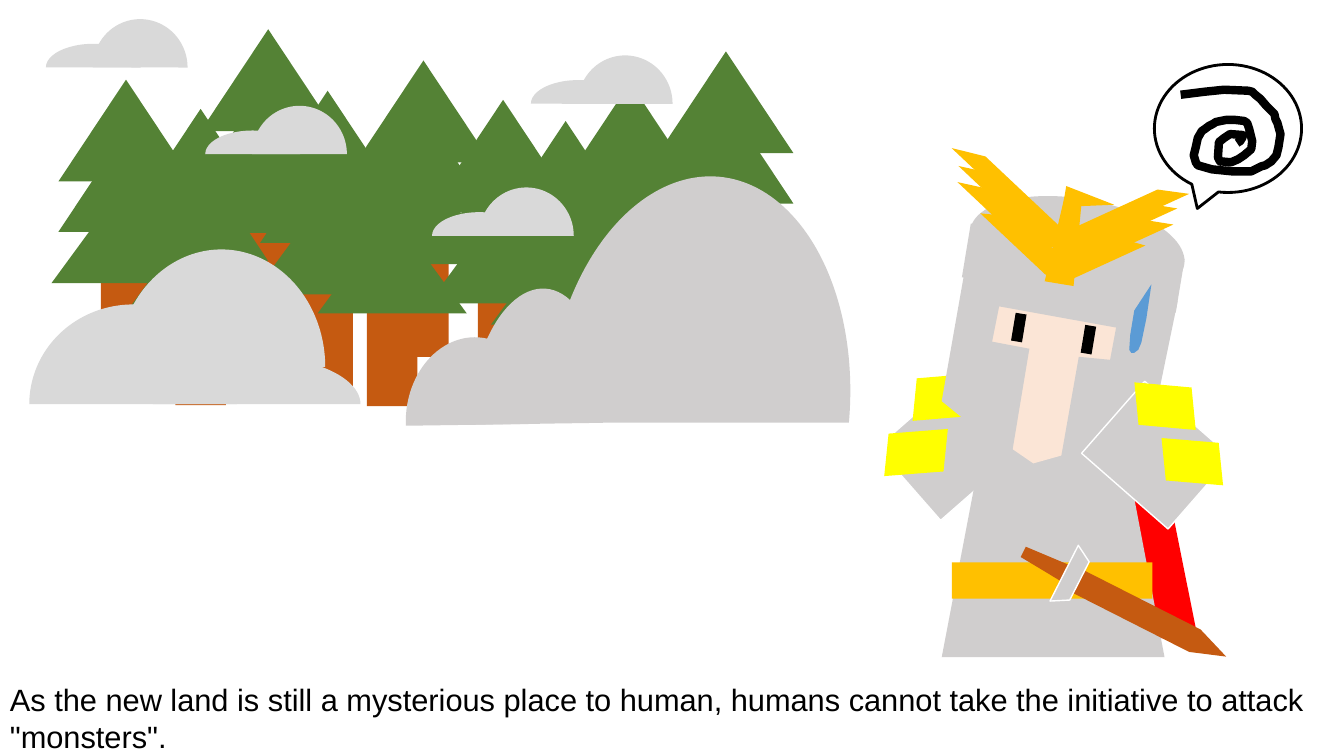
"""Build a slide of a knight watching a misty forest, with a caption."""
from pptx import Presentation
from pptx.dml.color import RGBColor
from pptx.enum.shapes import MSO_SHAPE as S
from pptx.enum.text import MSO_AUTO_SIZE
from pptx.util import Inches, Pt

CAPTION = ('As the new land is still a mysterious place to human, humans cannot '
           'take the initiative to attack "monsters".')
GREEN, BROWN, STONE, CLOUD = "548235", "C55A11", "D0CECE", "D9D9D9"
GOLD, YELLOW, RED, SKIN = "FFC000", "FFFF00", "FF0000", "FBE5D6"
BLUE, BLACK, WHITE = "5B9BD5", "000000", "FFFFFF"

TREES = [(0.51, 0.79), (1.92, 0.29), (1.25, 1.08), (2.51, 0.9), (3.46, 0.6), (3.15, 1.09),
         (4.25, 0.99), (5.51, 0.82), (6.46, 0.51), (6.15, 1.01), (4.87, 1.2)]
TREE_PARTS = [(S.RECTANGLE, 0.49, 1.62, 0.5, 1.32, BROWN),
              (S.ISOSCELES_TRIANGLE, 0.07, 0, 1.34, 1.01, GREEN),
              (S.ISOSCELES_TRIANGLE, 0.07, 0.5, 1.34, 1.01, GREEN),
              (S.ISOSCELES_TRIANGLE, 0, 1.01, 1.48, 1.01, GREEN)]

ROCKS = [((3.88, 3.49, 1.62, 1.33), 94.3), ((4.03, 3.48, 2.57, 1.33), 94.3),
         ((4.61, 2.56, 4.63, 3), 95.1)]
ROCK_CUT, CLOUD_CUT = (47.88, 162), (54.015, 162)
BIG_CLOUD = [(2.07, 2.98, 0.95, 2.06), (0.33, 2.98, 1.98, 2.06), (1.03, 2.61, 2.33, 2.06)]
SMALL_CLOUDS = [(2.27, 1.06), (4.52, 1.87), (5.5, 0.56), (0.69, 0.2)]
SMALL_PUFFS = [(0, 0.47), (0.22, 0.96)]
PUFF_HEIGHT = 0.94

ROBE = [(9.58, 2.62), (9.34, 3.98), (10.03, 4.54), (10.21, 3.46), (9.84, 3.39), (9.91, 3.04),
        (11.07, 3.25), (11.01, 3.57), (10.7, 3.54), (10.52, 4.56), (11.4, 4.35), (11.68, 2.99)]
SWEAT = [(11.25, 3.08), (11.21, 3.32), (11.2, 3.47), (11.22, 3.5), (11.25, 3.5), (11.29, 3.47),
         (11.32, 3.4), (11.37, 3.16), (11.42, 2.82)]
SWIRL = [(11.71, 0.94), (11.95, 0.91), (12.14, 0.89), (12.38, 0.9), (12.42, 0.91), (12.45, 0.94),
         (12.5, 0.98), (12.56, 1.05), (12.64, 1.13), (12.65, 1.18), (12.67, 1.22), (12.7, 1.33),
         (12.68, 1.46), (12.66, 1.54), (12.61, 1.6), (12.55, 1.64), (12.51, 1.65), (12.41, 1.7),
         (12.22, 1.7), (12.02, 1.68), (11.95, 1.66), (11.88, 1.64), (11.86, 1.61), (11.84, 1.54),
         (11.86, 1.46), (11.88, 1.37), (11.92, 1.3), (11.95, 1.28), (11.99, 1.25), (12.03, 1.23),
         (12.06, 1.21), (12.16, 1.19), (12.25, 1.19), (12.34, 1.2), (12.37, 1.22), (12.39, 1.28),
         (12.42, 1.4), (12.41, 1.48), (12.34, 1.54), (12.28, 1.58), (12.21, 1.61), (12.1, 1.6),
         (12.08, 1.56), (12.09, 1.41), (12.14, 1.37), (12.2, 1.33), (12.33, 1.34), (12.32, 1.37),
         (12.3, 1.4), (12.27, 1.42)]

TILT, RIGHT_FEATHERS, LEFT_FEATHERS = 9.4, 335.4, 43.3
FEATHER_HEIGHT = 0.17
CAPE_AND_FACE = [
    (S.FLOWCHART_MANUAL_OPERATION, (9.55, 4.01, 2.33, 2.32), RED, 180),
    (S.FLOWCHART_CARD, (8.87, 3.94, 1.16, 0.96), STONE, 318.8, False, WHITE),
    (S.FLOWCHART_DATA, (9.1, 3.65, 0.53, 0.58), YELLOW, 275.6, True),
    (S.FLOWCHART_DATA, (8.82, 4.2, 0.53, 0.58), YELLOW, 275.9, True),
    (S.FLOWCHART_MANUAL_OPERATION, (9.34, 4.2, 2.21, 2.32), STONE, 180),
    (S.FLOWCHART_OFFPAGE_CONNECTOR, (9.61, 2.76, 1.58, 1.85), SKIN, TILT),
    (S.OVAL, (9.61, 1.97, 2.15, 0.96), STONE, TILT),
    (S.RECTANGLE, (9.57, 2.39, 2.15, 0.54), STONE, TILT)]
CREST = [
    (S.ISOSCELES_TRIANGLE, (10.7, 1.74, 0.21, 0.5), GOLD, 99.4, True),
    (S.FLOWCHART_MANUAL_OPERATION, (10.43, 1.96, 0.29, 0.86), GOLD, 189.4, True)]
FEATHERS = [
    (RIGHT_FEATHERS, True,
     [(10.48, 2.04, 1.34), (10.43, 2.17, 1.27), (10.39, 2.33, 1.27), (10.38, 2.48, 0.99)]),
    (LEFT_FEATHERS, False,
     [(9.29, 1.84, 1.51), (9.37, 1.99, 1.43), (9.36, 2.15, 1.43), (9.63, 2.35, 1.11)])]
EYES_ARM_AND_SWORD = [
    (S.RECTANGLE, (10.05, 3.11, 0.11, 0.28), BLACK, TILT),
    (S.RECTANGLE, (10.74, 3.23, 0.11, 0.28), BLACK, TILT),
    (S.FLOWCHART_CARD, (10.9, 4.04, 1.14, 0.95), STONE, 41.2, True, WHITE),
    (S.FLOWCHART_DATA, (11.29, 3.75, 0.53, 0.56), YELLOW, 84.4),
    (S.FLOWCHART_DATA, (11.56, 4.3, 0.53, 0.56), YELLOW, 84.1),
    (S.RECTANGLE, (9.44, 5.58, 1.99, 0.36), GOLD),
    (S.FLOWCHART_MANUAL_OPERATION, (10.29, 5.33, 0.19, 0.53), BROWN, 116.9),
    (S.FLOWCHART_OFFPAGE_CONNECTOR, (11.26, 5.25, 0.25, 1.74), BROWN, 296.9),
    (S.TRAPEZOID, (10.32, 5.64, 0.62, 0.17), STONE, 116.9, False, WHITE, 1, (0.574,))]


def colour(value):
    return RGBColor.from_string(value)


def paint(part, fill, line=None, weight=1):
    part.shadow.inherit = False
    if fill:
        part.fill.solid()
        part.fill.fore_color.rgb = colour(fill)
    else:
        part.fill.background()
    if line:
        part.line.color.rgb = colour(line)
        part.line.width = Pt(weight)
    else:
        part.line.fill.background()


def draw(group, kind, box, fill, turn=0, flip=False, line=None, weight=1, adjust=()):
    part = group.shapes.add_shape(kind, *map(Inches, box))
    part.rotation = turn
    if flip:
        part.element.spPr.get_or_add_xfrm().set("flipH", "1")
    for index, value in enumerate(adjust):
        part.adjustments[index] = value
    paint(part, fill, line, weight)


def trace(group, points, fill, line=None, weight=1, close=True):
    start, *rest = [(Inches(x), Inches(y)) for x, y in points]
    builder = group.shapes.build_freeform(*start, scale=1.0)
    builder.add_line_segments(rest, close=close)
    paint(builder.convert_to_shape(), fill, line, weight)


def draw_forest(group):
    for x, y in TREES:
        for kind, dx, dy, width, height, fill in TREE_PARTS:
            draw(group, kind, (x + dx, y + dy, width, height), fill)
    for box, turn in ROCKS:
        draw(group, S.CHORD, box, STONE, turn, adjust=ROCK_CUT)
    small = [(x + dx, y, width, PUFF_HEIGHT)
             for x, y in SMALL_CLOUDS for dx, width in SMALL_PUFFS]
    for box in BIG_CLOUD + small:
        draw(group, S.CHORD, box, CLOUD, 90, adjust=CLOUD_CUT)


def draw_knight(group):
    for part in CAPE_AND_FACE:
        draw(group, *part)
    trace(group, ROBE, STONE)
    for part in CREST:
        draw(group, *part)
    for turn, flip, feathers in FEATHERS:
        for feather in feathers:
            draw(group, S.FLOWCHART_DATA, (*feather, FEATHER_HEIGHT), GOLD, turn, flip)
    trace(group, SWEAT, BLUE)
    for part in EYES_ARM_AND_SWORD:
        draw(group, *part)


def draw_thought(group):
    draw(group, S.OVAL_CALLOUT, (11.45, 0.64, 1.46, 1.27), WHITE, line=BLACK, weight=2)
    trace(group, SWIRL, None, BLACK, 6, close=False)


def write_caption(slide):
    frame = slide.shapes.add_textbox(*map(Inches, (0, 6.7, 13.33, 0.84))).text_frame
    frame.word_wrap = True
    frame.auto_size = MSO_AUTO_SIZE.SHAPE_TO_FIT_TEXT
    frame.text = CAPTION
    font = frame.paragraphs[0].runs[0].font
    font.name, font.size = "Arial", Pt(22)
    font.color.rgb = colour(BLACK)


def main():
    deck = Presentation()
    deck.slide_width, deck.slide_height = Inches(13.33), Inches(7.5)
    slide = deck.slides.add_slide(deck.slide_layouts[6])
    write_caption(slide)
    for scene in (draw_forest, draw_knight, draw_thought):
        scene(slide.shapes.add_group_shape())
    deck.save("out.pptx")


if __name__ == "__main__":
    main()
